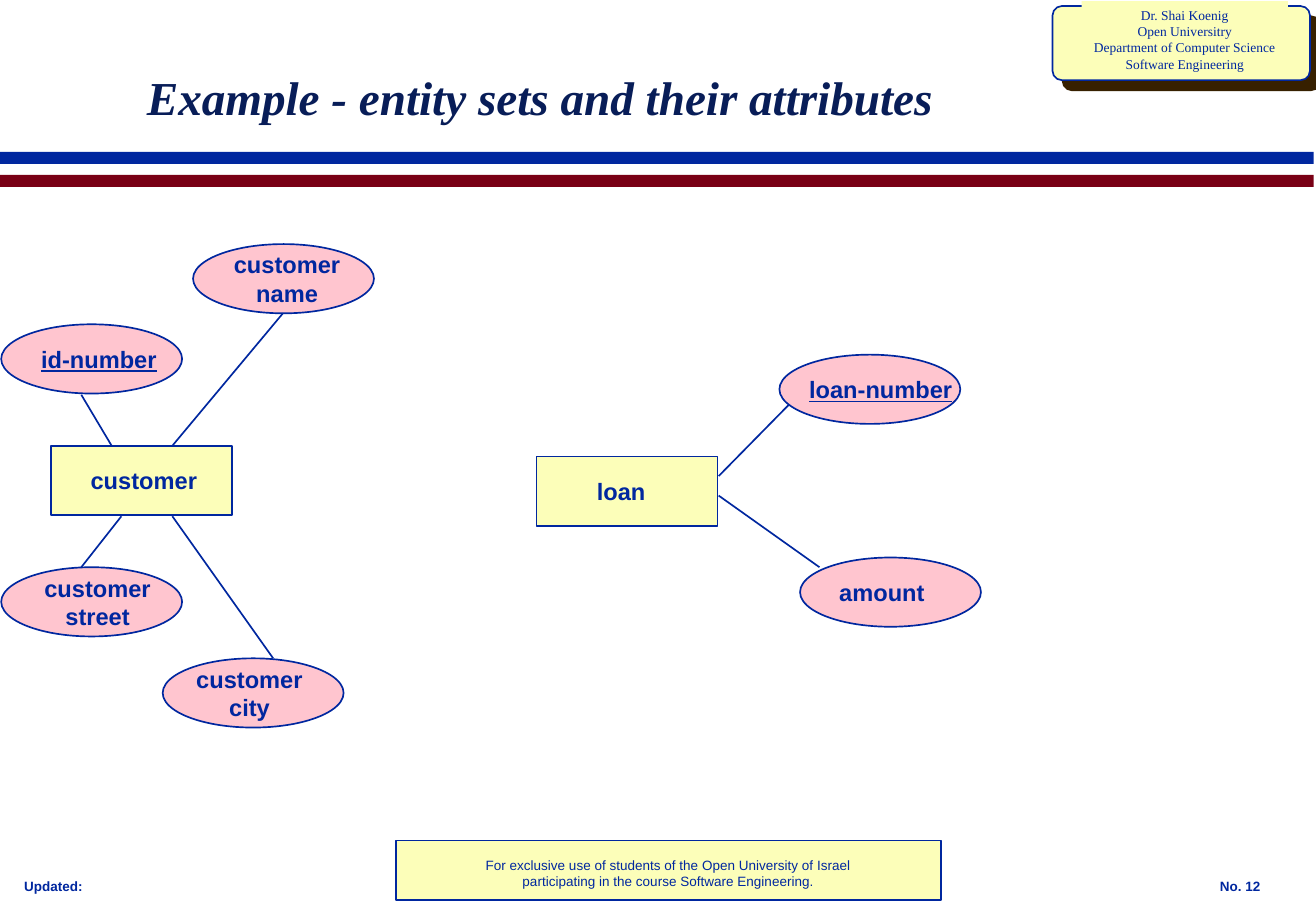
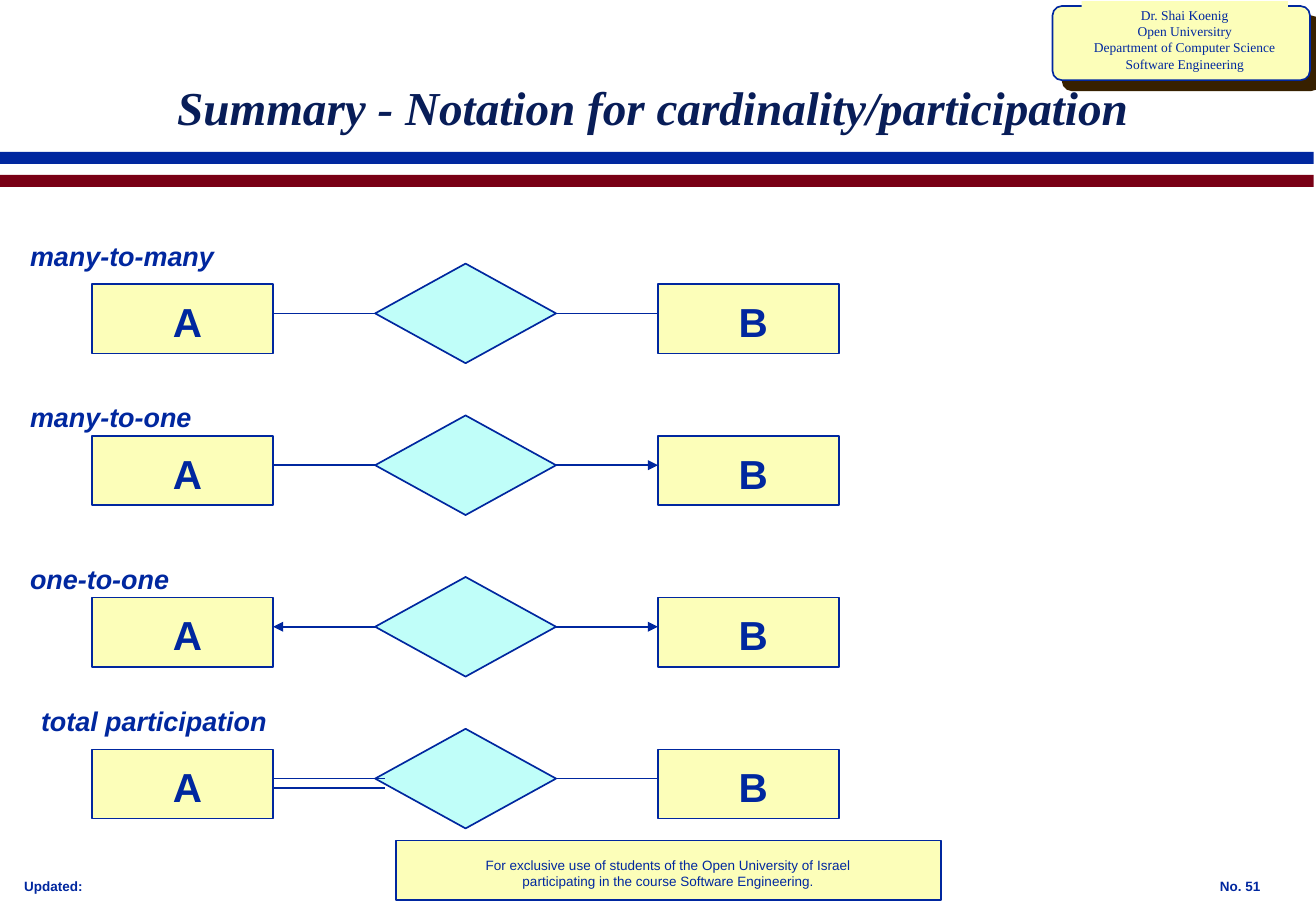
from lxml import etree
from pptx import Presentation
from pptx.dml.color import RGBColor
from pptx.enum import shapes, text
from pptx.oxml import ns
from pptx.util import Inches, Pt

HUES = {"blue": "00279F", "navy": "081D58", "red": "790015", "cream": "FCFEB9",
        "pink": "FFC5CF", "aqua": "C0FEF9", "brown": "372000"}
SANS, SERIF = "Arial", "Times New Roman"
KIND = shapes.MSO_SHAPE
ALIGN = text.PP_ALIGN
WIDE, HIGH = 1.49, 0.57


def hue(name):
    """Return a named colour."""
    return RGBColor.from_string(HUES[name])


def write(frame, words, size, face=SANS, ink="blue", align=ALIGN.CENTER, **marks):
    """Fill a text frame and format every run."""
    frame.text = words
    frame.auto_size = text.MSO_AUTO_SIZE.NONE
    for para in frame.paragraphs:
        para.alignment = align
        for run in para.runs:
            font = run.font
            font.size, font.name = Pt(size), face
            font.color.rgb = hue(ink)
            for mark, state in marks.items():
                setattr(font, mark, state)


def shape(slide, kind, at, fill, line=True):
    """Add a flat filled shape."""
    item = slide.shapes.add_shape(kind, *map(Inches, at))
    item.fill.solid()
    item.fill.fore_color.rgb = hue(fill)
    if line:
        item.line.color.rgb = hue("blue")
        item.line.width = Pt(1)
    else:
        item.line.fill.background()
    item.shadow.inherit = False
    return item


def label(item, words, size, dx=0, dy=0, **style):
    """Write unwrapped text in a shape, moved off its centre by dx and dy."""
    frame = item.text_frame
    frame.word_wrap = False
    frame.vertical_anchor = text.MSO_ANCHOR.MIDDLE
    frame.margin_left, frame.margin_right = Inches(max(0, 2 * dx)), Inches(max(0, -2 * dx))
    frame.margin_top, frame.margin_bottom = Inches(2 * dy), 0
    write(frame, words, size, **style)


def note(slide, at, words, size, **style):
    """Add a left-aligned bold text box."""
    box = slide.shapes.add_textbox(*map(Inches, at))
    box.text_frame.word_wrap = False
    write(box.text_frame, words, size, align=ALIGN.LEFT, bold=True, **style)
    return box


def link(slide, start, end, arrow=False):
    """Draw a straight line, with an arrowhead at its end if asked."""
    wire = slide.shapes.add_connector(shapes.MSO_CONNECTOR.STRAIGHT,
                                      *map(Inches, start + end))
    wire.line.color.rgb = hue("blue")
    wire.line.width = Pt(1)
    if arrow:
        etree.SubElement(wire.line._get_or_add_ln(), ns.qn("a:tailEnd"), type="triangle")
    etree.SubElement(wire.element.spPr, ns.qn("a:effectLst"))
    return wire


def shade(item):
    """Give a shape a hard brown shadow to the lower right."""
    effect = item.element.spPr.find(ns.qn("a:effectLst"))
    drop = etree.SubElement(effect, ns.qn("a:outerShdw"), blurRad="0",
                            dist=str(Pt(8.5)), dir="2700000", algn="tl", rotWithShape="0")
    etree.SubElement(drop, ns.qn("a:srgbClr"), val=HUES["brown"])


def brand(slide):
    """Draw the bands, card and footer and move them to the layout."""
    foot = shape(slide, KIND.RECTANGLE, (3.26, 6.92, 4.49, 0.49), "cream")
    label(foot, "For exclusive use of students of the Open University of Israel\n"
                "participating in the course Software Engineering.", 8, dy=0.02)
    bands = [shape(slide, KIND.RECTANGLE, (0, y, 10.82, 0.1), fill, False)
             for y, fill in ((1.25, "blue"), (1.44, "red"))]
    card = shape(slide, KIND.ROUNDED_RECTANGLE, (8.67, 0.05, 2.12, 0.61), "cream")
    card.adjustments[0] = 0.125
    shade(card)
    name = shape(slide, KIND.RECTANGLE, (8.91, 0.01, 1.7, 0.63), "cream", False)
    label(name, "Dr. Shai Koenig\nOpen Universitry\nDepartment of Computer Science\n"
                "Software Engineering", 8, face=SERIF)
    date = note(slide, (0.1, 7.18, 1.15, 0.23), "Updated:", 8)
    tree = slide.slide_layout.shapes.element
    for item in (foot, *bands, card, name, date):
        tree.append(item.element)


def start(deck, words, at, number):
    """Add a slide with its title and number."""
    slide = deck.slides.add_slide(deck.slide_layouts[5])
    title = slide.shapes.title
    title.left, title.top, title.width, title.height = map(Inches, at)
    title.text_frame.vertical_anchor = text.MSO_ANCHOR.MIDDLE
    write(title.text_frame, words, 28, SERIF, "navy", ALIGN.LEFT, bold=True, italic=True)
    note(slide, (9.95, 7.18, 0.95, 0.23), f"No. {number}", 8)
    return slide


def entity(slide, x, y, words, size=14, dx=0, dy=0):
    """Add an entity set box."""
    box = shape(slide, KIND.RECTANGLE, (x, y, WIDE, HIGH), "cream")
    label(box, words, size, dx, dy, bold=True)


def trait(slide, x, y, words, dx, key=False):
    """Add an attribute ellipse, underlined when it is a key."""
    oval = shape(slide, KIND.OVAL, (x, y, WIDE, HIGH), "pink")
    label(oval, words, 14, dx, bold=True, underline=key)


def ratio(slide, y, words, at, left=False, right=False, total=False):
    """Add one row: caption, two entity sets and the relationship between them."""
    gem = shape(slide, KIND.DIAMOND, (3.09, y - 0.17, WIDE, 0.82), "aqua")
    for x, name in ((0.76, "A"), (5.42, "B")):
        entity(slide, x, y, name, 24, 0.04, 0.02)
    mid = y + 0.24
    if total:
        for level in (mid, mid + 0.08):
            link(slide, (2.25, level), (3.17, level))
    else:
        link(slide, (3.09, mid), (2.25, mid), left).begin_connect(gem, 1)
    link(slide, (4.58, mid), (5.42, mid), right).begin_connect(gem, 3)
    note(slide, (*at, 2.06, 0.36), words, 16, italic=True)


def sets(deck):
    """Build the entity sets slide."""
    slide = start(deck, "Example - entity sets and their attributes",
                  (1.11, 0.42, 7.22, 0.75), 12)
    brand(slide)
    entity(slide, 0.42, 3.67, "customer", dx=0.02)
    entity(slide, 4.42, 3.76, "loan", dx=-0.05)
    for spot in ((6.42, 2.92, "loan-number", 0.09, True),
                 (1.34, 5.42, "customer\ncity", -0.03),
                 (0.01, 4.67, "customer\nstreet", 0.05),
                 (1.59, 2.01, "customer\nname", 0.03),
                 (0.01, 2.67, "id-number", 0.06, True),
                 (6.59, 4.59, "amount", -0.07)):
        trait(slide, *spot)
    for ends in (((6.5, 3.33), (5.92, 3.92)), ((5.92, 4.08), (6.75, 4.67)),
                 ((0.67, 3.25), (0.92, 3.67)), ((2.33, 2.58), (1.42, 3.67)),
                 ((1, 4.25), (0.67, 4.67)), ((1.42, 4.25), (2.25, 5.42))):
        link(slide, *ends)


def recap(deck):
    """Build the notation summary slide."""
    slide = start(deck, "Summary - Notation for cardinality/participation",
                  (1.36, 0.5, 8.5, 0.75), 51)
    ratio(slide, 2.34, "many-to-many", (0.15, 1.92))
    ratio(slide, 3.59, "many-to-one", (0.15, 3.25), right=True)
    ratio(slide, 4.92, "one-to-one", (0.15, 4.58), left=True, right=True)
    ratio(slide, 6.17, "total participation", (0.24, 5.75), total=True)


def main():
    """Build and save the deck."""
    deck = Presentation()
    deck.slide_width, deck.slide_height = Inches(10.84), Inches(7.5)
    sets(deck)
    recap(deck)
    deck.save("out.pptx")


if __name__ == "__main__":
    main()
